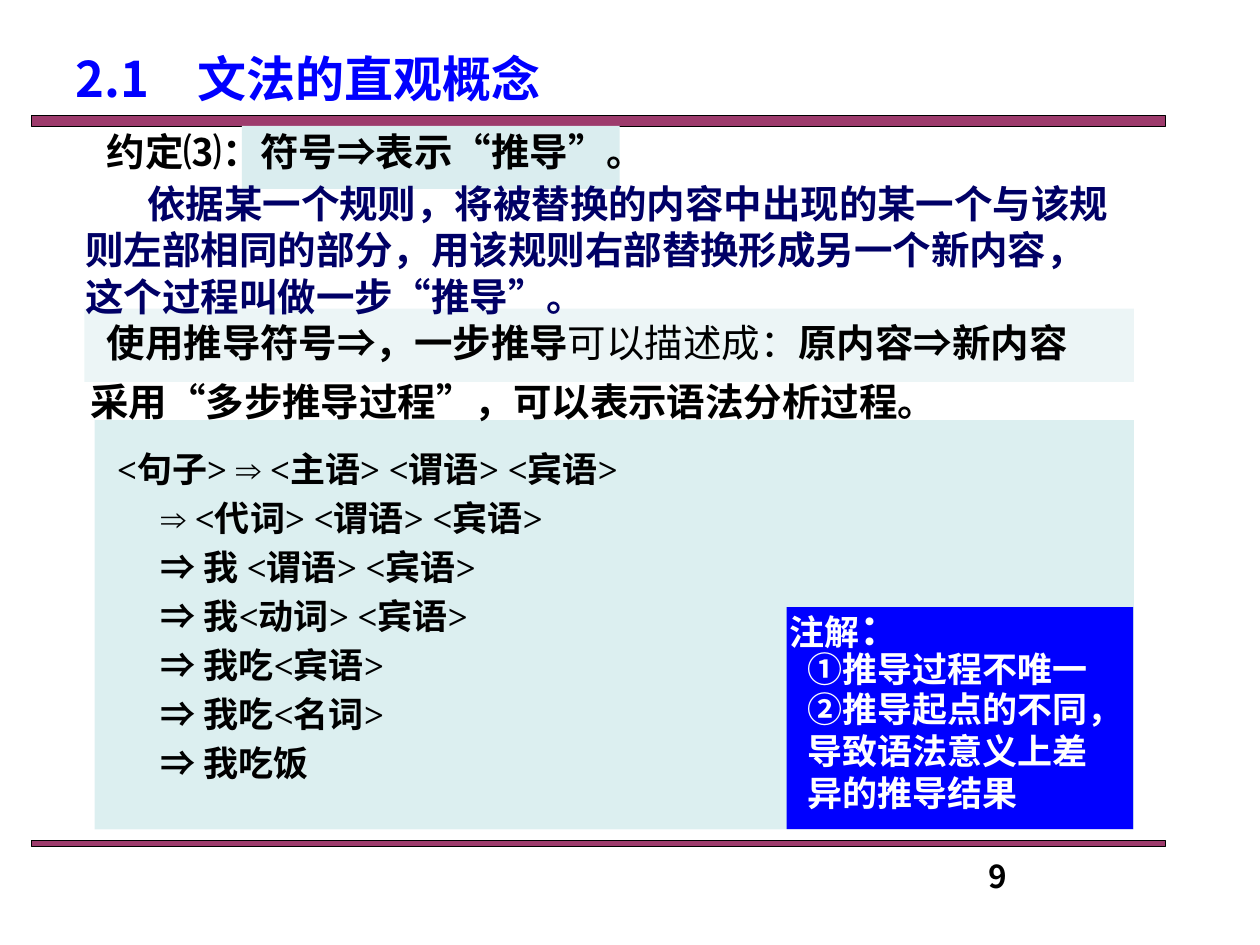
"""Build the slide on derivation in the intuitive concept of grammars."""
import pptx
import pptx.util
import pptx.dml.color
import pptx.enum.shapes
import pptx.enum.text
from lxml import etree

Pt = pptx.util.Pt
SANS = "Noto Sans CJK SC"
SERIF = "Times New Roman"
BLACK, NAVY, BLUE, WHITE = "000000", "000066", "0000FF", "FFFFFF"
NS = "http://schemas.openxmlformats.org/drawingml/2006/main"


def hue(code):
    return pptx.dml.color.RGBColor.from_string(code)


def write(place, rows, size, color, face=SANS, first=0, hang=0, gap=0, align=None):
    left, top, width, height = map(Pt, place)
    frame = slide.shapes.add_textbox(left, top, width, height).text_frame
    frame.word_wrap = True
    for i, row in enumerate(rows):
        para = frame.paragraphs[0] if i == 0 else frame.add_paragraph()
        props = para._p.get_or_add_pPr()
        props.set("marL", str(Pt(hang if i else 0)))
        props.set("indent", str(Pt(first)))
        para.alignment = align
        para.line_spacing = Pt(size * 1.2)
        if i:
            para.space_before = Pt(gap)
        para.font.name = face
        para.font.size = Pt(size)
        para.font.bold = True
        para.font.color.rgb = hue(color)
        para.add_run().text = row
    return para


deck = pptx.Presentation()
deck.slide_width, deck.slide_height = Pt(720), Pt(540)
slide = deck.slides.add_slide(deck.slide_layouts[6])

panels = [
    ((18, 66.2, 648, 6), "993366", 96, True),
    ((18, 480.2, 648, 3.6), "993366", 96, True),
    ((48.2, 176.4, 599.8, 41.8), "DAEDEF", 50, False),
    ((54, 240, 594, 234), "BBE0E3", 50, False),
    ((138.2, 72, 216, 36), "DAEDEF", 100, False),
    ((449.5, 347, 198, 126.8), BLUE, 100, False),
]
for place, color, alpha, edge in panels:
    panel = slide.shapes.add_shape(
        pptx.enum.shapes.MSO_SHAPE.RECTANGLE, *map(Pt, place))
    panel.shadow.inherit = False
    panel.fill.solid()
    panel.fill.fore_color.rgb = hue(color)
    if alpha < 100:
        tone = panel._element.spPr.find(f"{{{NS}}}solidFill")[0]
        etree.SubElement(tone, f"{{{NS}}}alpha").set("val", str(alpha * 1000))
    if edge:
        panel.line.color.rgb = hue(BLACK)
        panel.line.width = Pt(0.75)
    else:
        panel.line.fill.background()

write((36, 24, 306, 48), ["2.1　文法的直观概念"], 28, BLUE)
write((54, 69.8, 432, 34), ["约定⑶：符号⇒表示“推导”。"], 22, BLACK)
write((41.8, 99.4, 600, 87),
      ["依据某一个规则，将被替换的内容中出现的某一个与该规则左部相同的部分，"
       "用该规则右部替换形成另一个新内容，这个过程叫做一步“推导”。"],
      22, NAVY, first=35.3)
usage = write((54, 178.6, 570, 34), ["使用推导符号⇒，一步推导"], 22, BLACK)
for words, bold in [("可以描述成：", False), ("原内容⇒新内容", True)]:
    run = usage.add_run()
    run.text = words
    run.font.bold = bold
write((44.6, 212.4, 513, 34), ["采用“多步推导过程”，可以表示语法分析过程。"], 22, BLACK)

steps = [
    "<句子> ⇒ <主语> <谓语> <宾语>",
    "⇒ <代词> <谓语> <宾语>",
    "⇒ 我 <谓语> <宾语>",
    "⇒ 我<动词> <宾语>",
    "⇒ 我吃<宾语>",
    "⇒ 我吃<名词>",
    "⇒ 我吃饭",
]
write((59.8, 252, 332.6, 204), steps, 20, BLACK, SERIF, hang=25, gap=4,
      align=pptx.enum.text.PP_ALIGN.JUSTIFY)

note = write((444.2, 341.3, 90.7, 36), ["注解"], 20, WHITE, SERIF)
note.line_spacing = Pt(28.8)
colon = note.add_run()
colon.text = "："
colon.font.size = Pt(24)
write((454.3, 366.5, 180, 31), ["①推导过程不唯一"], 20, WHITE)
write((454.3, 389.5, 182.9, 79), ["②推导起点的不同，导致语法意义上差异的推导结果"], 20, WHITE)
write((558, 486, 160, 30), ["9"], 18, BLACK)

deck.save("out.pptx")
